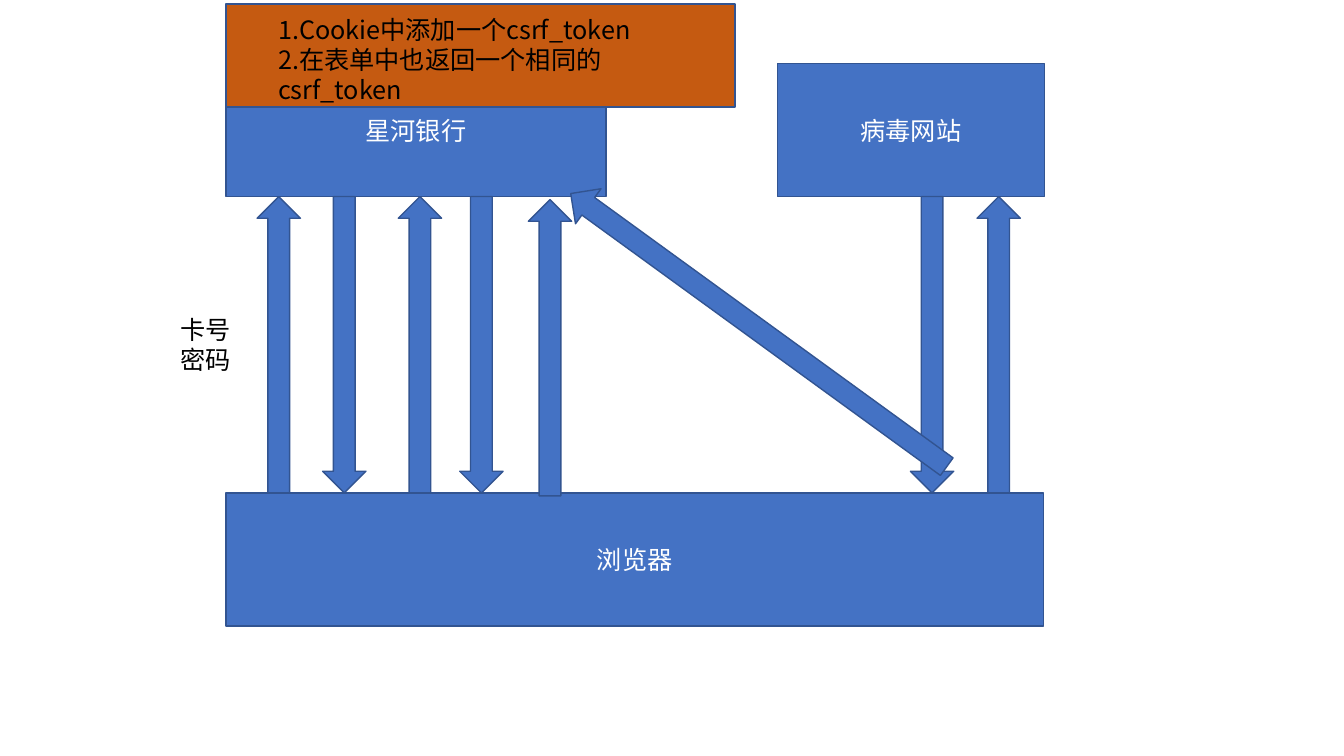
import pptx
import pptx.util
import pptx.dml.color
import pptx.enum.shapes
import pptx.enum.text
import lxml.etree
from dataclasses import dataclass

Inches = pptx.util.Inches
MSO_SHAPE = pptx.enum.shapes.MSO_SHAPE
RGB = pptx.dml.color.RGBColor.from_string


@dataclass(frozen=True)
class Theme:
    blue: str = "4472C4"
    orange: str = "C55A11"
    outline: str = "325491"
    white: str = "FFFFFF"
    black: str = "000000"
    font: str = "Noto Sans CJK SC"
    size: int = 18


theme = Theme()


def add_box(s, kind, box, fill=theme.blue, rotation=0):
    sp = s.shapes.add_shape(kind, *map(Inches, box))
    sp.shadow.inherit = False
    sp.fill.solid()
    sp.fill.fore_color.rgb = RGB(fill)
    sp.line.color.rgb = RGB(theme.outline)
    sp.line.width = pptx.util.Pt(1)
    sp.rotation = rotation
    return sp


def write(tf, lines, color, align):
    """Fill a text frame, one paragraph per line, in Latin and East Asian type."""
    tf.text = "\n".join(lines)
    for p in tf.paragraphs:
        p.alignment = align
        f = p.font
        f.name, f.size = theme.font, pptx.util.Pt(theme.size)
        f.color.rgb = RGB(color)
        props = p._p.pPr.find(pptx.oxml.ns.qn("a:defRPr"))
        ea = lxml.etree.SubElement(props, pptx.oxml.ns.qn("a:ea"))
        ea.set("typeface", theme.font)


prs = pptx.Presentation()
prs.slide_width, prs.slide_height = Inches(13.33), Inches(7.5)
s = prs.slides.add_slide(prs.slide_layouts[6])

# Parties in the exchange
parties = [
    ("星河银行", (2.24, 0.63, 3.77, 1.32)),
    ("浏览器", (2.24, 4.89, 8.11, 1.32)),
    ("病毒网站", (7.71, 0.63, 2.65, 1.32)),
]
for name, box in parties:
    sp = add_box(s, MSO_SHAPE.RECTANGLE, box)
    sp.text_frame.vertical_anchor = pptx.enum.text.MSO_ANCHOR.MIDDLE
    write(sp.text_frame, [name], theme.white, pptx.enum.text.PP_ALIGN.CENTER)

# Requests point up, responses point down, the forged request runs diagonally
REQUEST, RESPONSE, FORGED = 180, 0, 126
arrows = [
    (2.55, 1.95, 2.94, REQUEST),
    (3.2, 1.95, 2.94, RESPONSE),
    (3.95, 1.95, 2.94, REQUEST),
    (9.69, 1.95, 2.94, REQUEST),
    (9.03, 1.95, 2.94, RESPONSE),
    (4.56, 1.95, 2.94, RESPONSE),
    (5.24, 1.98, 2.94, REQUEST),
    (7.31, 0.97, 4.61, FORGED),
]
for left, top, length, rotation in arrows:
    add_box(s, MSO_SHAPE.DOWN_ARROW, (left, top, 0.43, length), rotation=rotation)

# Token note and login label
add_box(s, MSO_SHAPE.RECTANGLE, (2.24, 0.04, 5.05, 1.02), theme.orange)
notes = [
    (["卡号", "密码"], (1.69, 3.07, 0.71, 0.71)),
    (["1.Cookie中添加一个csrf_token", "2.在表单中也返回一个相同的csrf_token"],
     (2.66, 0.09, 4.52, 0.71)),
]
for lines, box in notes:
    tf = s.shapes.add_textbox(*map(Inches, box)).text_frame
    tf.word_wrap = True
    write(tf, lines, theme.black, pptx.enum.text.PP_ALIGN.LEFT)

prs.save("out.pptx")
